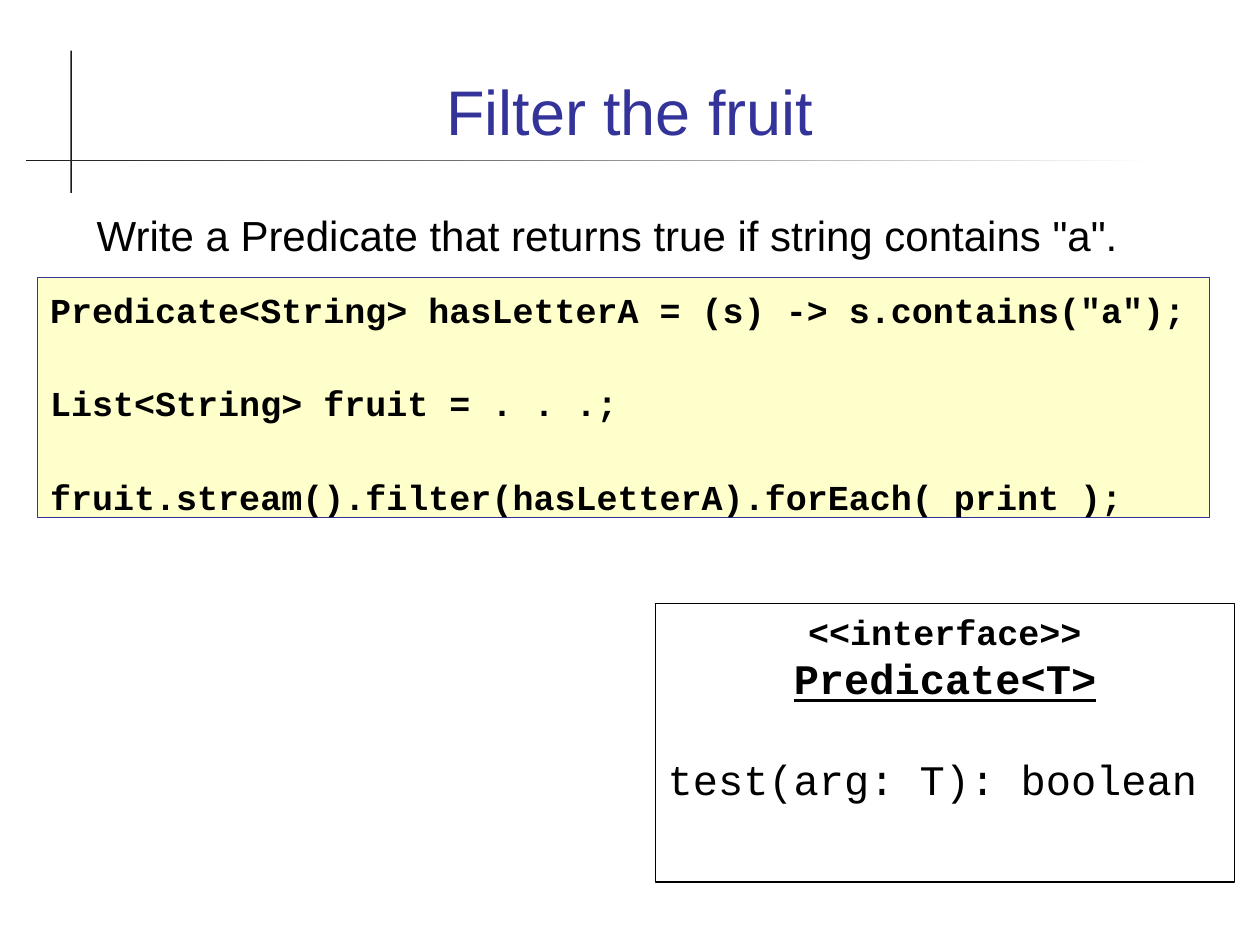
from dataclasses import dataclass
from typing import Optional, Sequence

from pptx import Presentation
from pptx.dml.color import RGBColor
from pptx.enum.shapes import MSO_SHAPE
from pptx.enum.text import MSO_ANCHOR, PP_ALIGN
from pptx.shapes.autoshape import Shape
from pptx.slide import Slide
from pptx.util import Cm, Pt


@dataclass(frozen=True)
class Theme:
    white: RGBColor = RGBColor(0xFF, 0xFF, 0xFF)
    black: RGBColor = RGBColor(0, 0, 0)
    rule: RGBColor = RGBColor(0x1C, 0x1C, 0x1C)
    accent: RGBColor = RGBColor(0x33, 0x33, 0x99)
    code_fill: RGBColor = RGBColor(0xFF, 0xFF, 0xCC)
    sans: str = "Arial"
    mono: str = "Courier New"
    title_size: float = 36
    body_size: float = 24
    code_size: float = 20
    outline: float = 0.75


THEME = Theme()


@dataclass(frozen=True)
class Box:
    left: float
    top: float
    width: float
    height: float

    def lengths(self) -> tuple:
        return Cm(self.left), Cm(self.top), Cm(self.width), Cm(self.height)


@dataclass(frozen=True)
class Line:
    text: str
    size: float
    bold: bool = False
    underline: bool = False
    align: PP_ALIGN = PP_ALIGN.LEFT
    space_before: float = 0


def add_rectangle(slide: Slide, box: Box, fill: Optional[RGBColor] = None,
                  outline: Optional[RGBColor] = None) -> Shape:
    shape = slide.shapes.add_shape(MSO_SHAPE.RECTANGLE, *box.lengths())
    shape.shadow.inherit = False
    if fill is None:
        shape.fill.background()
    else:
        shape.fill.solid()
        shape.fill.fore_color.rgb = fill
    if outline is None:
        shape.line.fill.background()
    else:
        shape.line.color.rgb = outline
        shape.line.width = Pt(THEME.outline)
    return shape


def write_text(shape: Shape, lines: Sequence[Line], *, font: str,
               color: RGBColor = THEME.black, top_inset: float = 0.13,
               anchor: MSO_ANCHOR = MSO_ANCHOR.TOP) -> None:
    frame = shape.text_frame
    frame.word_wrap = True
    frame.vertical_anchor = anchor
    frame.margin_left = frame.margin_right = Cm(0.25)
    frame.margin_top, frame.margin_bottom = Cm(top_inset), Cm(0.13)
    for index, line in enumerate(lines):
        paragraph = frame.add_paragraph() if index else frame.paragraphs[0]
        paragraph.alignment = line.align
        paragraph.space_before = Pt(line.space_before)
        run = paragraph.add_run()
        run.text = line.text
        run.font.name = font
        run.font.size = Pt(line.size)
        run.font.bold = line.bold
        run.font.underline = line.underline
        run.font.color.rgb = color


def add_title_rules(slide: Slide) -> None:
    add_rectangle(slide, Box(1.42, 1.02, 0.03, 2.87), THEME.rule)
    horizontal = add_rectangle(slide, Box(0.53, 3.22, 22.81, 0.03), THEME.rule)
    horizontal.fill.gradient()
    horizontal.fill.gradient_angle = 180
    for stop, color in zip(horizontal.fill.gradient_stops, (THEME.white, THEME.rule)):
        stop.color.rgb = color


def main() -> None:
    presentation = Presentation()
    presentation.slide_width, presentation.slide_height = Cm(25.4), Cm(19.05)
    slide = presentation.slides.add_slide(presentation.slide_layouts[6])
    add_title_rules(slide)

    title = slide.shapes.add_textbox(*Box(1.7, 0.71, 22, 2.41).lengths())
    write_text(title, [Line("Filter the fruit", THEME.title_size, align=PP_ALIGN.CENTER)],
               font=THEME.sans, color=THEME.accent, anchor=MSO_ANCHOR.BOTTOM)

    task = slide.shapes.add_textbox(*Box(1.7, 4.01, 23.01, 1.32).lengths())
    write_text(task, [Line('Write a Predicate that returns true if string contains "a".',
                           THEME.body_size)], font=THEME.sans, top_inset=0.22)

    statements = (
        'Predicate<String> hasLetterA = (s) -> s.contains("a");',
        "List<String> fruit = . . .;",
        "fruit.stream().filter(hasLetterA).forEach( print );",
    )
    code = add_rectangle(slide, Box(0.76, 5.59, 23.62, 4.85), THEME.code_fill, THEME.accent)
    write_text(code, [Line(statement, THEME.code_size, bold=True,
                           space_before=29.5 if index else 0)
                      for index, statement in enumerate(statements)],
               font=THEME.mono, top_inset=0.22)

    interface = add_rectangle(slide, Box(13.21, 12.17, 11.68, 5.61), outline=THEME.black)
    write_text(interface, [
        Line("<<interface>>", THEME.code_size, bold=True, align=PP_ALIGN.CENTER),
        Line("Predicate<T>", THEME.body_size, bold=True, underline=True,
             align=PP_ALIGN.CENTER),
        Line("test(arg: T): boolean", THEME.body_size, space_before=29),
    ], font=THEME.mono)

    presentation.save("out.pptx")


if __name__ == "__main__":
    main()
